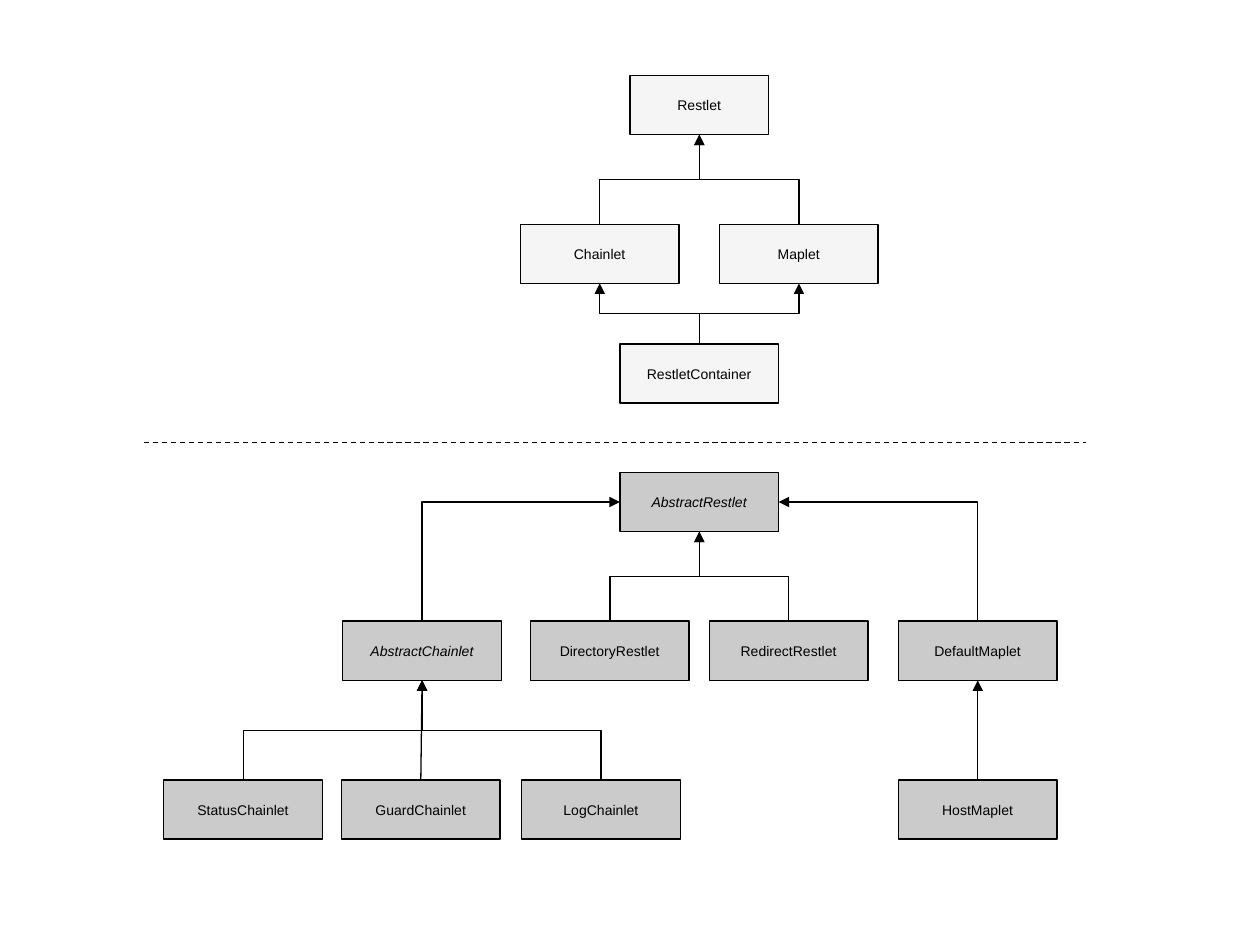
from lxml.etree import SubElement
from pptx import Presentation
from pptx.dml.color import RGBColor
from pptx.enum.dml import MSO_LINE
from pptx.enum.shapes import MSO_CONNECTOR as Connector, MSO_SHAPE as Shape
from pptx.enum.text import MSO_ANCHOR as Anchor, PP_ALIGN as Align
from pptx.oxml.ns import qn
from pptx.util import Inches, Pt

BLACK = "000000"
INTERFACE_GREY = "F5F5F5"
CLASS_GREY = "CBCBCB"
CLASS_WIDTH = 1.26
CLASS_HEIGHT = 0.47


def color(hex_text):
    """Turn a hex string into a colour."""
    return RGBColor.from_string(hex_text)


def add_class(slide, name, left, top, fill, width=CLASS_WIDTH, italic=False):
    """Draw a class box and return it."""
    box = slide.shapes.add_shape(
        Shape.RECTANGLE, Inches(left), Inches(top), Inches(width), Inches(CLASS_HEIGHT))
    box.shadow.inherit = False
    box.fill.solid()
    box.fill.fore_color.rgb = color(fill)
    box.line.color.rgb = color(BLACK)
    box.line.width = Pt(0.75)
    frame = box.text_frame
    frame.text = name
    frame.word_wrap = False
    frame.vertical_anchor = Anchor.MIDDLE
    label = frame.paragraphs[0]
    label.alignment = Align.CENTER
    font = label.runs[0].font
    font.name = "Arial"
    font.size = Pt(8)
    font.italic = italic
    font.color.rgb = color(BLACK)
    return box


def style_line(line, arrow=True):
    """Give a line its thin black stroke and, if wanted, an arrowhead."""
    line.line.color.rgb = color(BLACK)
    line.line.width = Pt(0.75)
    properties = line._element.spPr
    if arrow:
        SubElement(properties.find(qn("a:ln")), qn("a:tailEnd"), type="triangle")
    SubElement(properties, qn("a:effectLst"))


def add_straight(slide, child, parent):
    """Draw a straight arrow from a child up to its parent."""
    arrow = slide.shapes.add_connector(
        Connector.STRAIGHT, child.left + child.width // 2, child.top,
        parent.left + parent.width // 2, parent.top + parent.height)
    style_line(arrow)


def add_elbow(slide, child, parent, to_side=False):
    """Draw an elbow arrow from a child's top to its parent's bottom or side."""
    start_x, start_y = child.left + child.width // 2, child.top
    end_x, end_y = parent.left + parent.width // 2, parent.top + parent.height
    rightward = end_x > start_x
    if to_side:
        end_x = parent.left if rightward else parent.left + parent.width
        end_y = parent.top + parent.height // 2
    rise, run = start_y - end_y, abs(end_x - start_x)
    left = (start_x + end_x - rise) // 2
    top = (start_y + end_y - run) // 2
    arrow = slide.shapes.add_connector(
        Connector.ELBOW, left, top, left + rise, top + run)
    properties = arrow._element.spPr
    transform = properties.find(qn("a:xfrm"))
    transform.set("rot", str((90 if rightward else 270) * 60000))
    transform.set("flipV", "1")
    if rightward:
        transform.set("flipH", "1")
    if to_side:
        properties.find(qn("a:prstGeom")).set("prst", "bentConnector2")
    style_line(arrow)


def add_interfaces(slide, left, top):
    """Draw the interface hierarchy."""
    restlet = add_class(slide, "Restlet", left + 0.87, top, INTERFACE_GREY, width=1.1)
    chainlet = add_class(slide, "Chainlet", left, top + 1.18, INTERFACE_GREY)
    maplet = add_class(slide, "Maplet", left + 1.58, top + 1.18, INTERFACE_GREY)
    container = add_class(
        slide, "RestletContainer", left + 0.79, top + 2.13, INTERFACE_GREY)
    for child, parent in ((chainlet, restlet), (maplet, restlet),
                          (container, chainlet), (container, maplet)):
        add_elbow(slide, child, parent)


def add_divider(slide, left, top, width):
    """Draw the dashed line between interfaces and implementations."""
    divider = slide.shapes.add_connector(
        Connector.STRAIGHT, Inches(left), Inches(top), Inches(left + width), Inches(top))
    style_line(divider, arrow=False)
    divider.line.dash_style = MSO_LINE.DASH


def add_implementations(slide, left, top):
    """Draw the implementation hierarchy."""
    middle, bottom = top + 1.18, top + 2.44
    restlet = add_class(
        slide, "AbstractRestlet", left + 3.62, top, CLASS_GREY, italic=True)
    chainlet = add_class(
        slide, "AbstractChainlet", left + 1.42, middle, CLASS_GREY, italic=True)
    directory = add_class(slide, "DirectoryRestlet", left + 2.91, middle, CLASS_GREY)
    redirect = add_class(slide, "RedirectRestlet", left + 4.33, middle, CLASS_GREY)
    maplet = add_class(slide, "DefaultMaplet", left + 5.83, middle, CLASS_GREY)
    status = add_class(slide, "StatusChainlet", left, bottom, CLASS_GREY)
    guard = add_class(slide, "GuardChainlet", left + 1.41, bottom, CLASS_GREY)
    log = add_class(slide, "LogChainlet", left + 2.84, bottom, CLASS_GREY)
    host = add_class(slide, "HostMaplet", left + 5.83, bottom, CLASS_GREY)
    for child in (chainlet, maplet):
        add_elbow(slide, child, restlet, to_side=True)
    for child, parent in ((directory, restlet), (redirect, restlet),
                          (status, chainlet), (log, chainlet)):
        add_elbow(slide, child, parent)
    add_straight(slide, guard, chainlet)
    add_straight(slide, host, maplet)


def main():
    """Build the class diagram slide."""
    deck = Presentation()
    deck.slide_width, deck.slide_height = Inches(10), Inches(7.5)
    slide = deck.slides.add_slide(deck.slide_layouts[6])
    add_interfaces(slide, 4.13, 0.6)
    add_divider(slide, 1.14, 3.51, 7.48)
    add_implementations(slide, 1.3, 3.75)
    deck.save("out.pptx")


if __name__ == "__main__":
    main()
